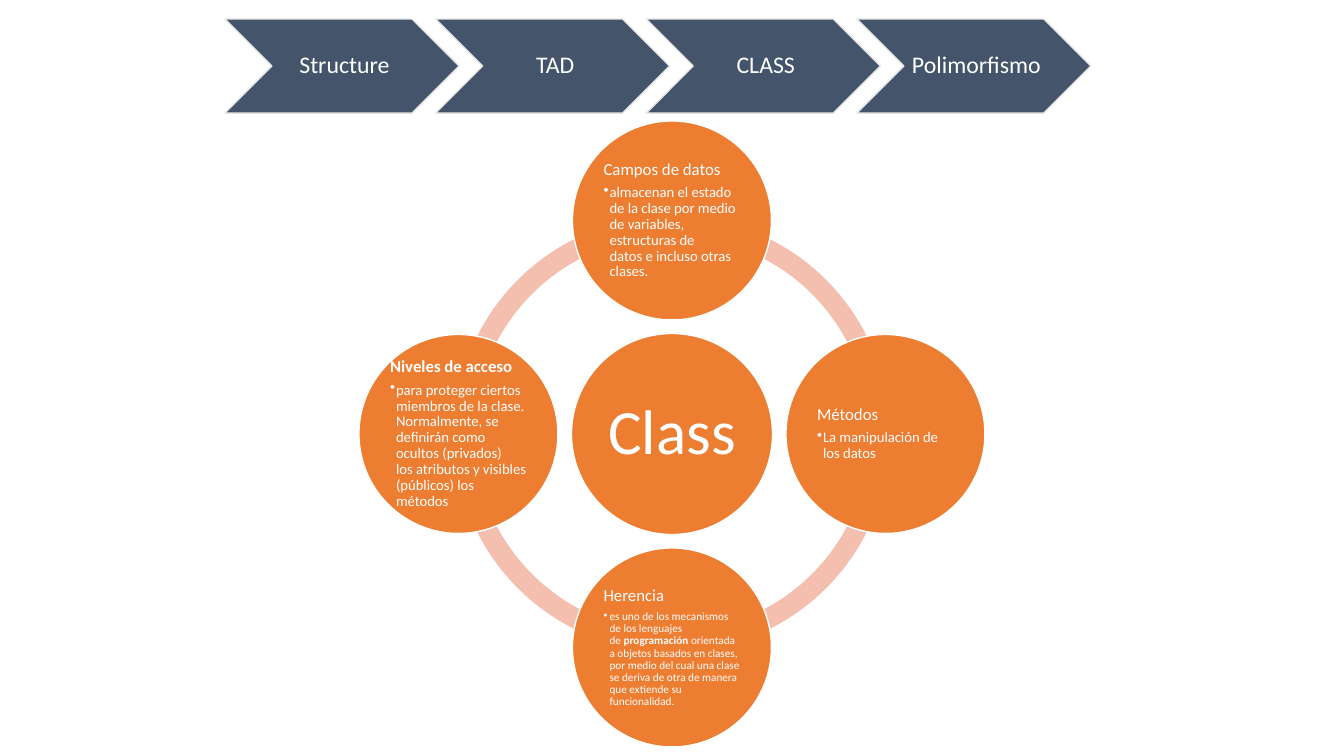
from collections import namedtuple
from dataclasses import dataclass

from lxml import etree
from pptx import Presentation
from pptx import util as u
from pptx.dml.color import RGBColor
from pptx.enum import shapes, text

EMU_PER_PIXEL = 914400 / 100.8
QUARTER = 54  # a quarter turn in block arc adjustment units
Box = namedtuple("Box", "left top width height")
Insets = namedtuple("Insets", "left top right bottom")


@dataclass(frozen=True)
class Theme:
    """Colours, font and type sizes of the slide."""
    font: str = "Calibri"
    light: str = "FFFFFF"
    step: str = "44546A"
    step_line: str = "E7E6E6"
    circle: str = "ED7D31"
    ring: str = "F4BFAE"
    hub_size: float = 45
    step_size: float = 17
    heading_size: float = 12
    body_size: float = 10.5
    small_size: float = 8


THEME = Theme()
STEPS = ["Structure", "TAD", "CLASS", "Polimorfismo"]
# Horizontal and vertical direction from the hub, heading, body, body size;
# asterisks enclose bold words.
FEATURES = [
    (0, -1, "Campos de datos",
     "almacenan el estado de la clase por medio de\u00a0variables, "
     "estructuras de datos\u00a0e incluso otras clases.", THEME.body_size),
    (1, 0, "Métodos", "La manipulación de los datos", THEME.body_size),
    (0, 1, "Herencia",
     "es uno de los mecanismos de los lenguajes de\u00a0*programación*"
     "\u00a0orientada a objetos basados en clases, por medio del cual una "
     "clase se deriva de otra de manera que extiende su funcionalidad.",
     THEME.small_size),
    (-1, 0, "*Niveles de acceso*",
     "para proteger ciertos miembros de la clase. Normalmente, se definirán "
     "como ocultos (privados) los\u00a0atributos y visibles (públicos) los "
     "métodos", THEME.body_size),
]


def px(length):
    """Turn picture pixels into EMU."""
    return u.Emu(round(length * EMU_PER_PIXEL))


def add_shape(page, kind, box, fill, line=None):
    """Add a flat preset shape, outlined only when a line colour is given."""
    shape = page.shapes.add_shape(kind, *map(px, box))
    shape.shadow.inherit = False
    shape.fill.solid()
    shape.fill.fore_color.rgb = RGBColor.from_string(fill)
    if line:
        shape.line.color.rgb = RGBColor.from_string(line)
        shape.line.width = u.Pt(1)
    else:
        shape.line.fill.background()
    return shape


def prepare_frame(shape, insets):
    """Set margins and middle anchoring, and return the text frame."""
    frame = shape.text_frame
    frame.word_wrap = True
    frame.vertical_anchor = text.MSO_ANCHOR.MIDDLE
    frame.margin_left, frame.margin_top, frame.margin_right, frame.margin_bottom = map(px, insets)
    return frame


def write_para(para, words, size, align=text.PP_ALIGN.LEFT, after=0.35):
    """Write one paragraph, with asterisks enclosing bold words."""
    para.alignment = align
    para.line_spacing = 0.9
    para.space_after = u.Pt(round(after * size, 1))
    para.font.name = THEME.font
    para.font.size = u.Pt(size)
    para.font.color.rgb = RGBColor.from_string(THEME.light)
    for index, part in enumerate(words.split("*")):
        if part:
            span = para.add_run()
            span.text = part
            span.font.bold = index % 2 == 1


def add_bullet(para, indent):
    """Give a paragraph a hanging round bullet."""
    props = para._p.get_or_add_pPr()
    props.set("marL", str(px(indent)))
    props.set("indent", str(-px(indent)))
    bullet = etree.Element("{http://schemas.openxmlformats.org/drawingml/2006/main}buChar", char="•")
    props.insert_element_before(bullet, "a:tabLst", "a:defRPr", "a:extLst")


def draw_steps(page, box):
    """Draw the row of chevrons, each starting at 90% of the one before."""
    width = box.width / (1 + 0.9 * (len(STEPS) - 1))
    for index, label in enumerate(STEPS):
        place = Box(box.left + 0.9 * width * index, box.top, width, box.height)
        step = add_shape(page, shapes.MSO_SHAPE.CHEVRON, place, THEME.step, THEME.step_line)
        frame = prepare_frame(step, Insets(7, 2, 2, 2))
        write_para(frame.paragraphs[0], label, THEME.step_size, text.PP_ALIGN.CENTER)


def draw_circle(page, center_x, center_y, size, inset):
    """Draw a circle about a centre and return its text frame."""
    box = Box(center_x - size / 2, center_y - size / 2, size, size)
    circle = add_shape(page, shapes.MSO_SHAPE.OVAL, box, THEME.circle, THEME.light)
    return prepare_frame(circle, Insets(inset, inset, inset, inset))


def draw_cycle(page, box):
    """Draw the ring, the hub and the feature circles inside a square box."""
    center_x = box.left + box.width / 2
    center_y = box.top + box.height / 2
    hub_size, feature_size, ring_size = 201, 199, 436
    orbit = (box.width - feature_size) / 2

    ring = Box(center_x - ring_size / 2, center_y - ring_size / 2, ring_size, ring_size)
    for turn in range(4):
        arc = add_shape(page, shapes.MSO_SHAPE.BLOCK_ARC, ring, THEME.ring)
        arc.adjustments[0] = turn * QUARTER
        arc.adjustments[1] = (turn + 1) % 4 * QUARTER
        arc.adjustments[2] = 0.046

    hub = draw_circle(page, center_x, center_y, hub_size, 6)
    write_para(hub.paragraphs[0], "Class", THEME.hub_size, text.PP_ALIGN.CENTER)

    for across, down, heading, body, size in FEATURES:
        frame = draw_circle(page, center_x + across * orbit, center_y + down * orbit,
                            feature_size, 2)
        write_para(frame.paragraphs[0], heading, THEME.heading_size)
        para = frame.add_paragraph()
        para.level = 1
        write_para(para, body, size, after=0.15)
        add_bullet(para, 6)


def main():
    """Build the deck and save it."""
    deck = Presentation()
    deck.slide_width, deck.slide_height = px(1344), px(756)
    page = deck.slides.add_slide(deck.slide_layouts[6])
    draw_cycle(page, Box(359, 121, 626, 626))
    draw_steps(page, Box(225, 19, 866, 94))
    deck.save("out.pptx")


main()
